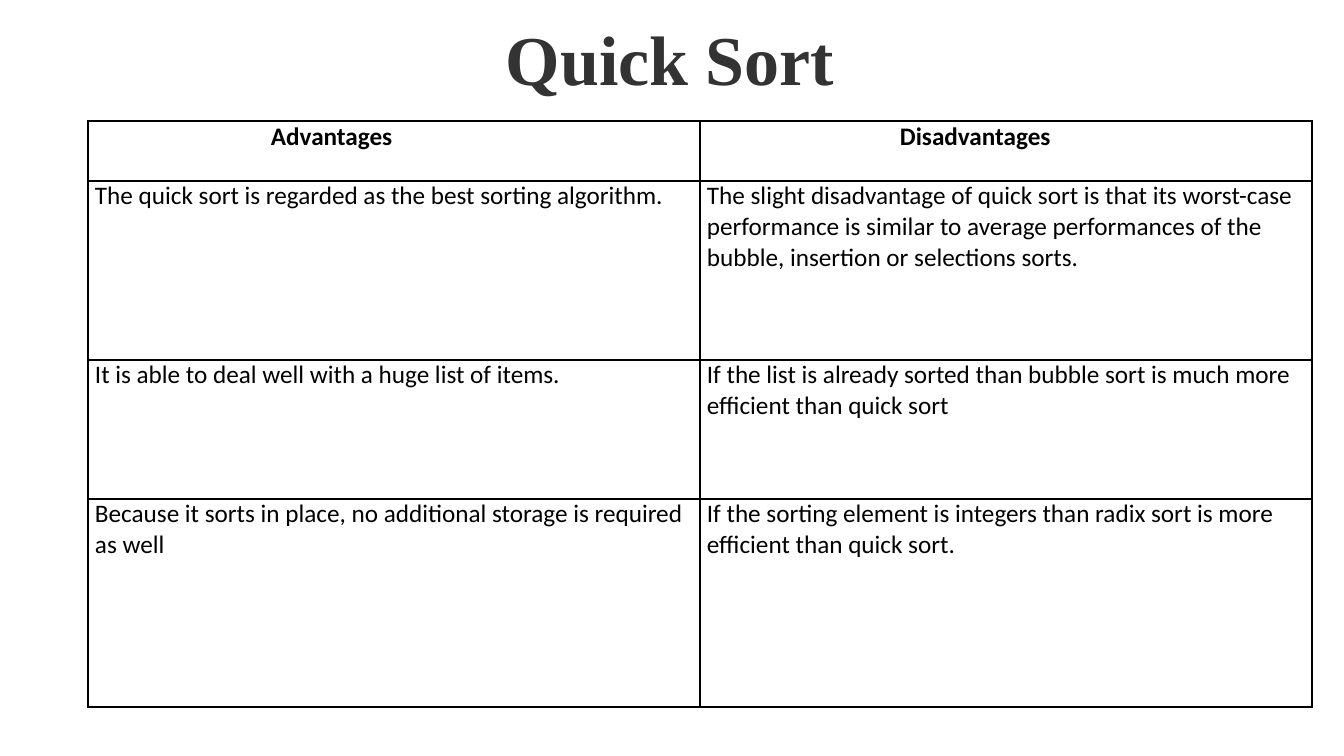
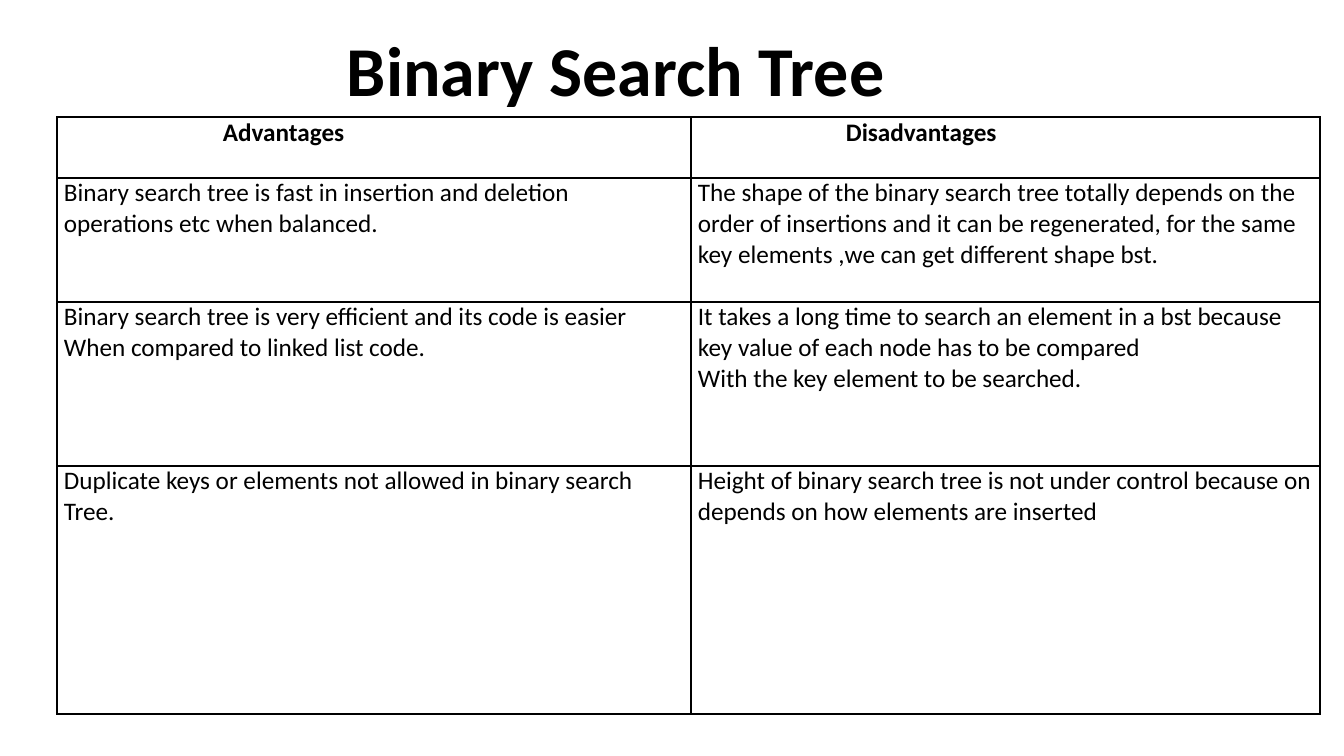
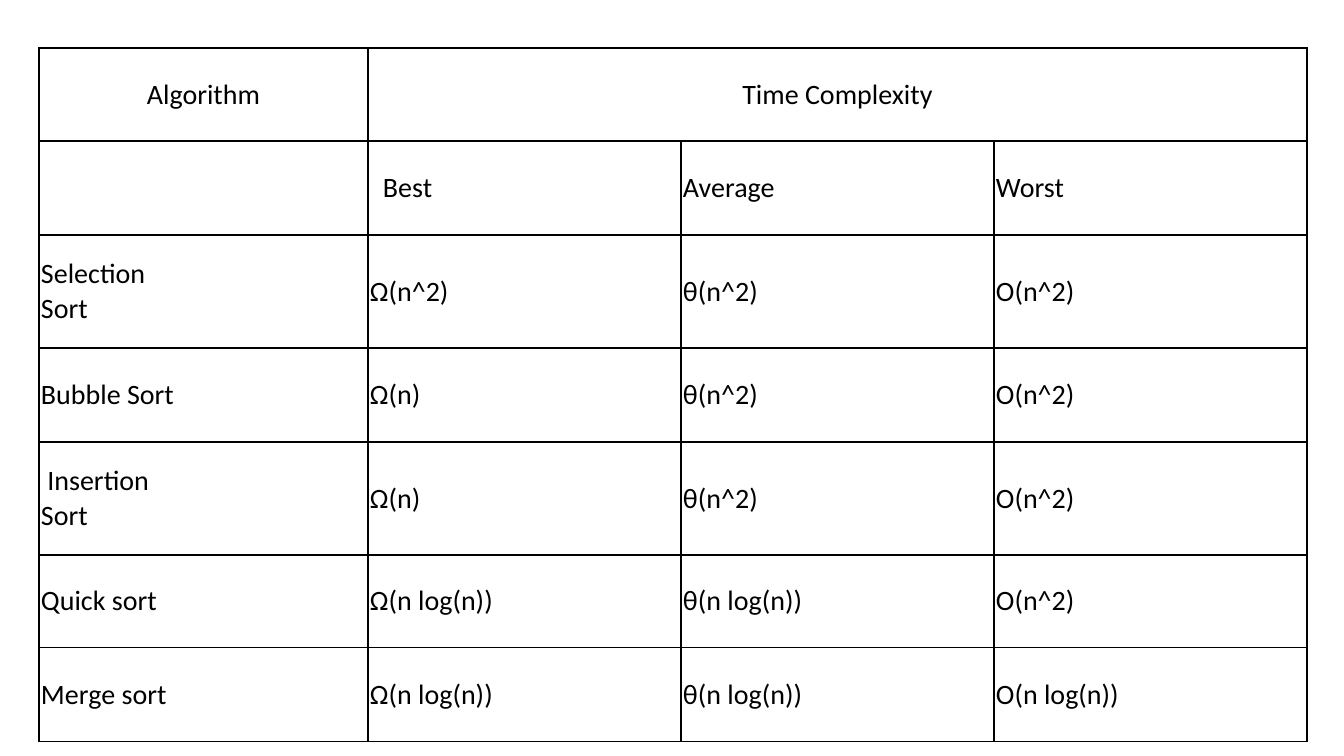
from lxml import etree
from pptx import Presentation
from pptx.dml.color import RGBColor
from pptx.enum.text import MSO_ANCHOR as ANCHOR, MSO_AUTO_SIZE as AUTO, PP_ALIGN as ALIGN
from pptx.oxml.ns import qn
from pptx.util import Emu, Pt

# Shared look
SCALE = 914400 / 100.8
COLORS = {"black": "000000", "gray": "333333", "white": "FFFFFF"}
BODY, SERIF = "Calibri", "Times New Roman"
TITLE_SIZE = 50


def px(n):
    return Emu(round(n * SCALE))


def add_text(tf, text, size, bold=False, font=BODY, color="black", align=ALIGN.LEFT):
    for i, line in enumerate(text.split("\n")):
        p = tf.paragraphs[0] if i == 0 else tf.add_paragraph()
        p.alignment = align
        r = p.add_run()
        r.text = line
        r.font.size, r.font.bold, r.font.name = Pt(size), bold, font
        r.font.color.rgb = RGBColor.from_string(COLORS[color])


# Titles: text, box, font, color, wrap
quick_title = ("Quick Sort", (496, 11, 352, 95), SERIF, "gray", False)
tree_title = ("Binary Search Tree", (337, 22, 628, 95), BODY, "black", True)

# Table contents
quick_rows = [
    ["Advantages", "Disadvantages"],
    ["The quick sort is regarded as the best sorting algorithm.",
     "The slight disadvantage of quick sort is that its worst-case performance is similar "
     "to average performances of the bubble, insertion or selections sorts."],
    ["It is able to deal well with a huge list of items.",
     "If the list is already sorted than bubble sort is much more efficient than quick sort"],
    ["Because it sorts in place, no additional storage is required as well",
     "If the sorting element is integers than radix sort is more efficient than quick sort."],
]
tree_rows = [
    ["Advantages", "Disadvantages"],
    ["Binary search tree is fast in insertion and deletion operations etc when balanced.",
     "The shape of the binary search tree totally depends on the order of insertions and it "
     "can be regenerated, for the same key elements ,we can get different shape bst."],
    ["Binary search tree is very efficient and its code is easier\n"
     "When compared to linked list code.",
     "It takes a long time to search an element in a bst because key value of each node has "
     "to be compared\nWith the key element to be searched."],
    ["Duplicate keys or elements not allowed in binary search\nTree.",
     "Height of binary search tree is not under control because on depends on how elements "
     "are inserted"],
]
complexity_rows = [
    ["Algorithm", "Time Complexity", "", ""],
    ["", "Best", "Average", "Worst"],
    ["Selection\nSort", "Ω(n^2)", "θ(n^2)", "O(n^2)"],
    ["Bubble Sort", "Ω(n)", "θ(n^2)", "O(n^2)"],
    [" Insertion\nSort", "Ω(n)", "θ(n^2)", "O(n^2)"],
    ["Quick sort", "Ω(n log(n))", "θ(n log(n))", "O(n^2)"],
    ["Merge sort", "Ω(n log(n))", "θ(n log(n))", "O(n log(n))"],
]

# Indents are extra left margins, keyed by (row, column)
slides = [
    dict(title=quick_title, rows=quick_rows, at=(88, 121), cols=[612, 612],
         heights=[60, 179, 139, 208], indents={(0, 0): 176, (0, 1): 193}),
    dict(title=tree_title, rows=tree_rows, at=(57, 117), cols=[634, 629],
         heights=[61, 124, 164, 248], indents={(0, 0): 159, (0, 1): 148}),
    dict(title=None, rows=complexity_rows, at=(39, 48), cols=[329] + [313] * 3,
         heights=[93, 94, 113, 94, 113, 93, 94], indents={(1, 1): 13}),
]

prs = Presentation()
prs.slide_width, prs.slide_height = px(1344), px(756)

for d in slides:
    s = prs.slides.add_slide(prs.slide_layouts[6])
    versus = d["title"] is not None
    pad_x, pad_y, size = (7, 0, 18) if versus else (2, 1, 20)

    # Table frame
    frame = s.shapes.add_table(len(d["rows"]), len(d["cols"]), *map(px, d["at"]),
                               px(sum(d["cols"])), px(sum(d["heights"])))
    table = frame.table
    table.first_row = table.horz_banding = False
    for col, width in zip(table.columns, d["cols"]):
        col.width = px(width)
    for row, height in zip(table.rows, d["heights"]):
        row.height = px(height)
    if not versus:
        table.cell(0, 1).merge(table.cell(0, 3))

    # Cells
    for i, texts in enumerate(d["rows"]):
        for j, text in enumerate(texts):
            cell = table.cell(i, j)
            if cell.is_spanned:
                continue
            cell.margin_left = px(pad_x + d["indents"].get((i, j), 0))
            cell.margin_right = px(pad_x)
            cell.margin_top = cell.margin_bottom = px(pad_y)
            cell.vertical_anchor = ANCHOR.TOP if versus else ANCHOR.MIDDLE
            for side in ("lnL", "lnR", "lnT", "lnB"):
                ln = etree.SubElement(cell._tc.get_or_add_tcPr(), qn("a:" + side), w=str(Pt(1)))
                fill = etree.SubElement(ln, qn("a:solidFill"))
                etree.SubElement(fill, qn("a:srgbClr"), val=COLORS["black"])
            if versus:
                cell.fill.solid()
                cell.fill.fore_color.rgb = RGBColor.from_string(COLORS["white"])
            else:
                cell.fill.background()
            if text:
                centred = not versus and i == 0
                add_text(cell.text_frame, text, size, bold=versus and i == 0,
                         align=ALIGN.CENTER if centred else ALIGN.LEFT)

    # Title
    if versus:
        text, box, font, color, wrap = d["title"]
        tf = s.shapes.add_textbox(*map(px, box)).text_frame
        tf.word_wrap = wrap
        tf.auto_size = AUTO.SHAPE_TO_FIT_TEXT
        add_text(tf, text, TITLE_SIZE, True, font, color)

prs.save("out.pptx")
